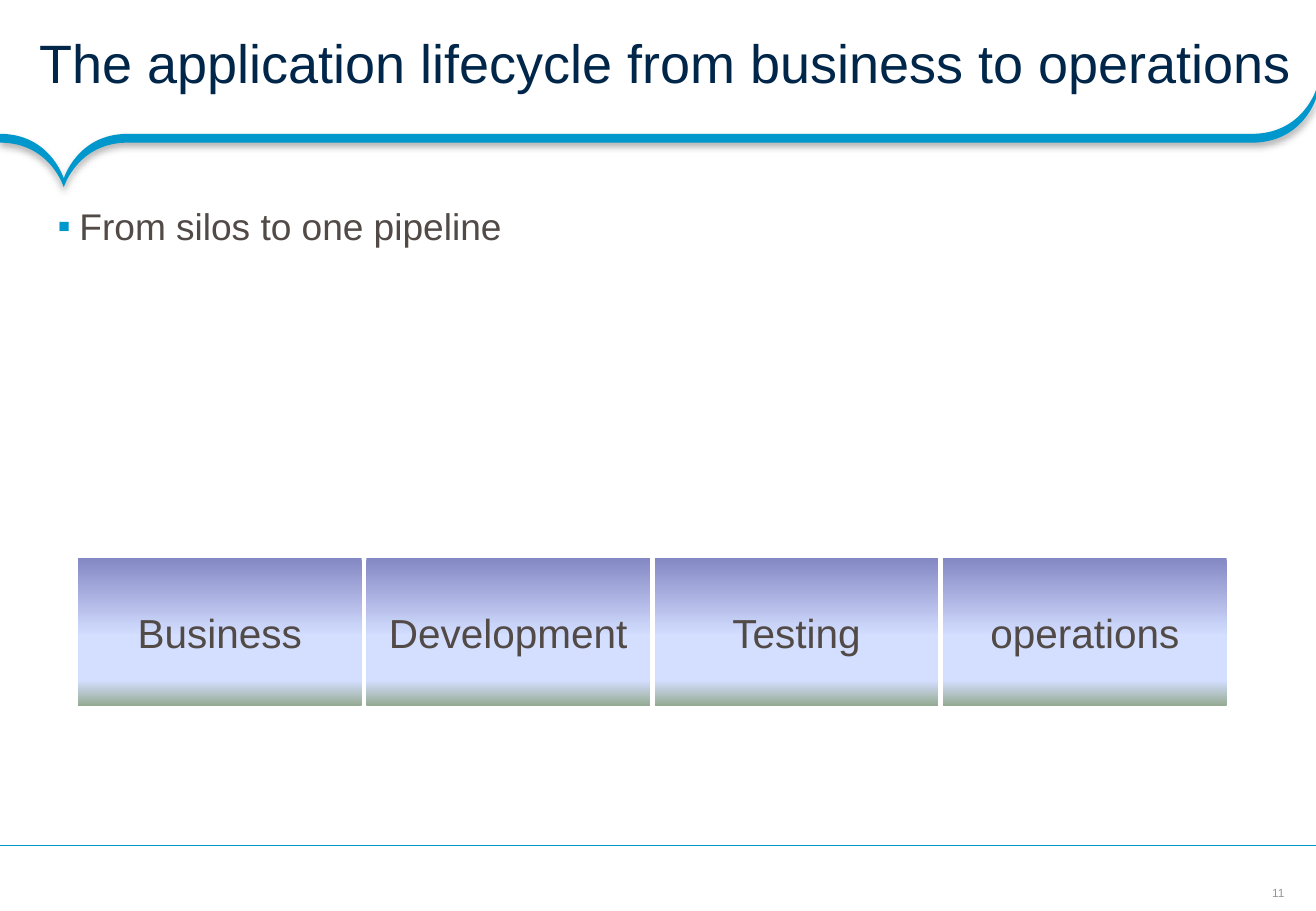
"""Build the slide on the application lifecycle from business to operations."""
import lxml.etree
import pptx
import pptx.dml.color
import pptx.enum.shapes
import pptx.enum.text
import pptx.oxml.ns
import pptx.util

Pt = pptx.util.Pt
RGB = pptx.dml.color.RGBColor
qn = pptx.oxml.ns.qn
ANCHOR = pptx.enum.text.MSO_ANCHOR
ALIGN = pptx.enum.text.PP_ALIGN

TITLE = "The application lifecycle from business to operations"
BULLET = "From silos to one pipeline"
STAGES = ["Business", "Development", "Testing", "operations"]
PAGE_NUMBER = "11"

BLUE = RGB(0x00, 0x98, 0xCC)
NAVY = RGB(0x00, 0x26, 0x4A)
BROWN = RGB(0x51, 0x4A, 0x46)
GREY = RGB(0x9F, 0x95, 0x8F)
VIOLET = RGB(0x84, 0x88, 0xC4)
PALE = RGB(0xD4, 0xDE, 0xFF)
SAGE = RGB(0x96, 0xAB, 0x94)
STAGE_GRADIENT = [(0, VIOLET), (53, PALE), (83, PALE), (100, SAGE)]

WIDTH, HEIGHT = 780, 540
STAGE_LEFT, STAGE_TOP, STAGE_WIDTH, STAGE_HEIGHT, STAGE_PITCH = 46.3, 330.9, 168, 87.3, 170.9
RIBBON_THICKNESS = 5.2
RIBBON_TOP = 53.3
RIBBON_CURVES = [
    [(0, 79.4), (29.7, 79.4), (37.8, 105.8), (37.8, 105.8)],
    [(37.8, 105.8), (37.8, 105.8), (46, 79.4), (75.6, 79.4)],
    [(75.6, 79.4), (75.6, 79.4), (742, 79.4), (742, 79.4)],
    [(742, 79.4), (772, 79.4), (780, RIBBON_TOP), (780, RIBBON_TOP)],
]


def add_xml(parent, tag, **attributes):
    return lxml.etree.SubElement(parent, qn(tag), {k: str(v) for k, v in attributes.items()})


def write(shape, text, size, color, frame_format, paragraph_format):
    frame = shape.text_frame
    for name, value in frame_format.items():
        setattr(frame, name, value)
    paragraph = frame.paragraphs[0]
    for name, value in paragraph_format.items():
        setattr(paragraph, name, value)
    run = paragraph.add_run()
    run.text = text
    for name, value in {"name": "Arial", "size": Pt(size)}.items():
        setattr(run.font, name, value)
    run.font.color.rgb = color
    return paragraph


def insets(left, top, right, bottom):
    sides = ("left", "top", "right", "bottom")
    return {f"margin_{side}": Pt(v) for side, v in zip(sides, (left, top, right, bottom))}


def bend(line, controls):
    curve = lxml.etree.Element(qn("a:cubicBezTo"))
    for x, y in controls:
        add_xml(curve, "a:pt", x=Pt(x), y=Pt(y - RIBBON_TOP))
    line.getparent().replace(line, curve)


def add_ribbon(shapes):
    lower = [[(x, y + RIBBON_THICKNESS) for x, y in reversed(curve)]
             for curve in reversed(RIBBON_CURVES)]
    right_end = [RIBBON_CURVES[-1][-1]] * 2 + [lower[0][0]] * 2
    curves = RIBBON_CURVES + [right_end] + lower
    builder = shapes.build_freeform(Pt(0), Pt(curves[0][0][1]), scale=1.0)
    builder.add_line_segments([(Pt(curve[-1][0]), Pt(curve[-1][1])) for curve in curves])
    ribbon = builder.convert_to_shape()
    for line, curve in zip(list(ribbon.element.iter(qn("a:lnTo"))), curves):
        bend(line, curve[1:])
    ribbon.fill.solid()
    ribbon.fill.fore_color.rgb = BLUE
    ribbon.line.fill.background()
    ribbon.shadow.inherit = False
    effects = ribbon.element.spPr.find(qn("a:effectLst"))
    shadow = add_xml(effects, "a:outerShdw", blurRad=Pt(4), dist=Pt(2), dir=5400000, rotWithShape=0)
    add_xml(add_xml(shadow, "a:srgbClr", val="000000"), "a:alpha", val=31000)


def add_stage(shapes, index, label):
    stage = shapes.add_shape(
        pptx.enum.shapes.MSO_SHAPE.RECTANGLE, Pt(STAGE_LEFT + index * STAGE_PITCH),
        Pt(STAGE_TOP), Pt(STAGE_WIDTH), Pt(STAGE_HEIGHT))
    stage.shadow.inherit = False
    stage.line.fill.background()
    stage.fill.gradient()
    stage.fill.gradient_angle = 270
    stops = stage.element.spPr.find(qn("a:gradFill")).find(qn("a:gsLst"))
    for stop in list(stops):
        stops.remove(stop)
    for position, color in STAGE_GRADIENT:
        add_xml(add_xml(stops, "a:gs", pos=position * 1000), "a:srgbClr", val=color)
    write(stage, label, 24, BROWN, {"vertical_anchor": ANCHOR.MIDDLE, "word_wrap": True},
          {"alignment": ALIGN.CENTER})


def main():
    deck = pptx.Presentation()
    deck.slide_width, deck.slide_height = Pt(WIDTH), Pt(HEIGHT)
    shapes = deck.slides.add_slide(deck.slide_layouts[6]).shapes

    number = shapes.add_textbox(Pt(753.4), Pt(524.6), Pt(8.6), Pt(8.6))
    write(number, PAGE_NUMBER, 7, GREY,
          {"vertical_anchor": ANCHOR.MIDDLE, "word_wrap": False, **insets(0, 0, 0, 0)},
          {"alignment": ALIGN.CENTER})

    add_ribbon(shapes)

    footer_rule = shapes.add_connector(
        pptx.enum.shapes.MSO_CONNECTOR.STRAIGHT, Pt(WIDTH), Pt(501), Pt(0), Pt(501))
    footer_rule.line.color.rgb = BLUE
    footer_rule.line.width = Pt(0.75)
    add_xml(footer_rule.element.spPr, "a:effectLst")

    title = shapes.add_textbox(Pt(0), Pt(0), Pt(WIDTH), Pt(79.4))
    write(title, TITLE, 32, NAVY,
          {"vertical_anchor": ANCHOR.MIDDLE, "word_wrap": True, **insets(23.6, 3, 10, 3)},
          {"line_spacing": 0.85})

    body = shapes.add_textbox(Pt(25.5), Pt(117.7), Pt(754.5), Pt(141))
    point = write(body, BULLET, 22, BROWN, {"word_wrap": True, **insets(8.6, 5.8, 5.8, 5.8)},
                  {"line_spacing": 0.9, "space_after": Pt(6)})
    properties = point._p.get_or_add_pPr()
    for name, value in {"marL": Pt(13), "indent": -Pt(13)}.items():
        properties.set(name, str(value))
    add_xml(add_xml(properties, "a:buClr"), "a:srgbClr", val=BLUE)
    add_xml(properties, "a:buFont", typeface="Arial")
    add_xml(properties, "a:buChar", char="▪")

    pipeline = shapes.add_group_shape()
    for index, label in enumerate(STAGES):
        add_stage(pipeline.shapes, index, label)

    deck.save("out.pptx")


if __name__ == "__main__":
    main()
